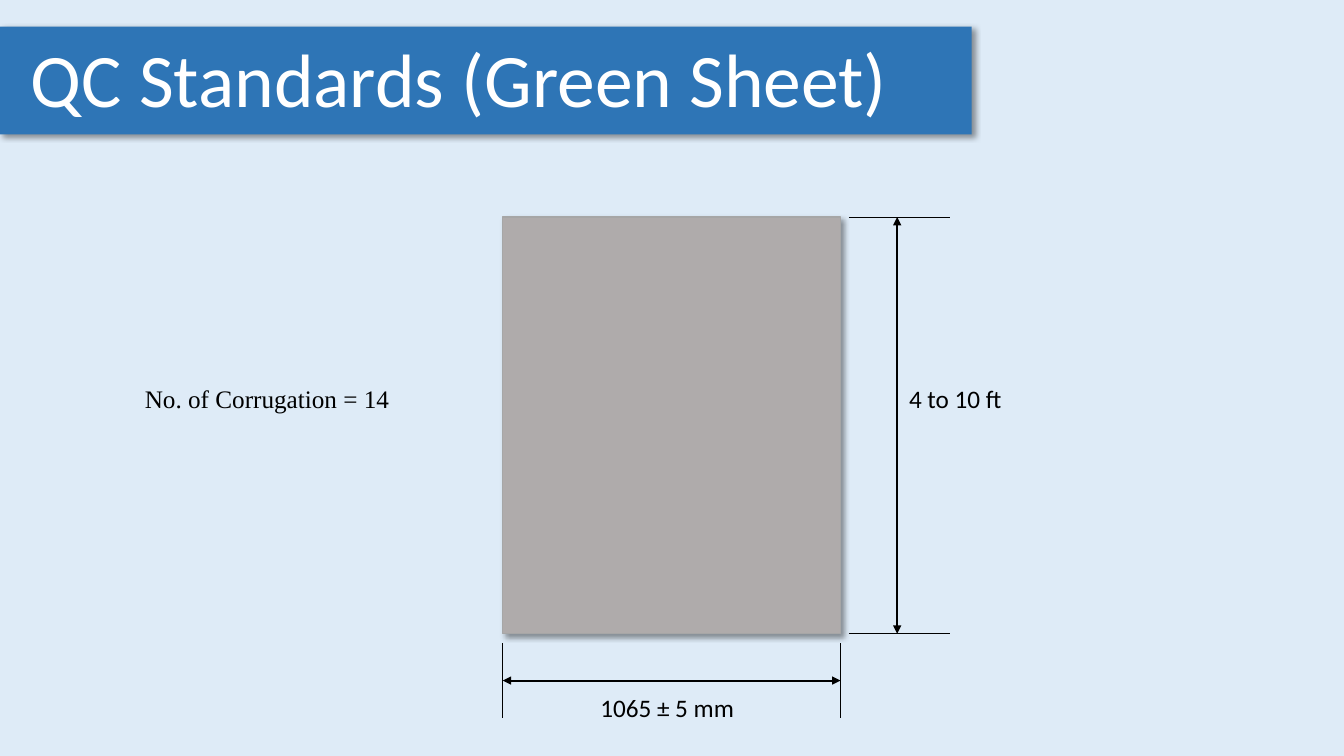
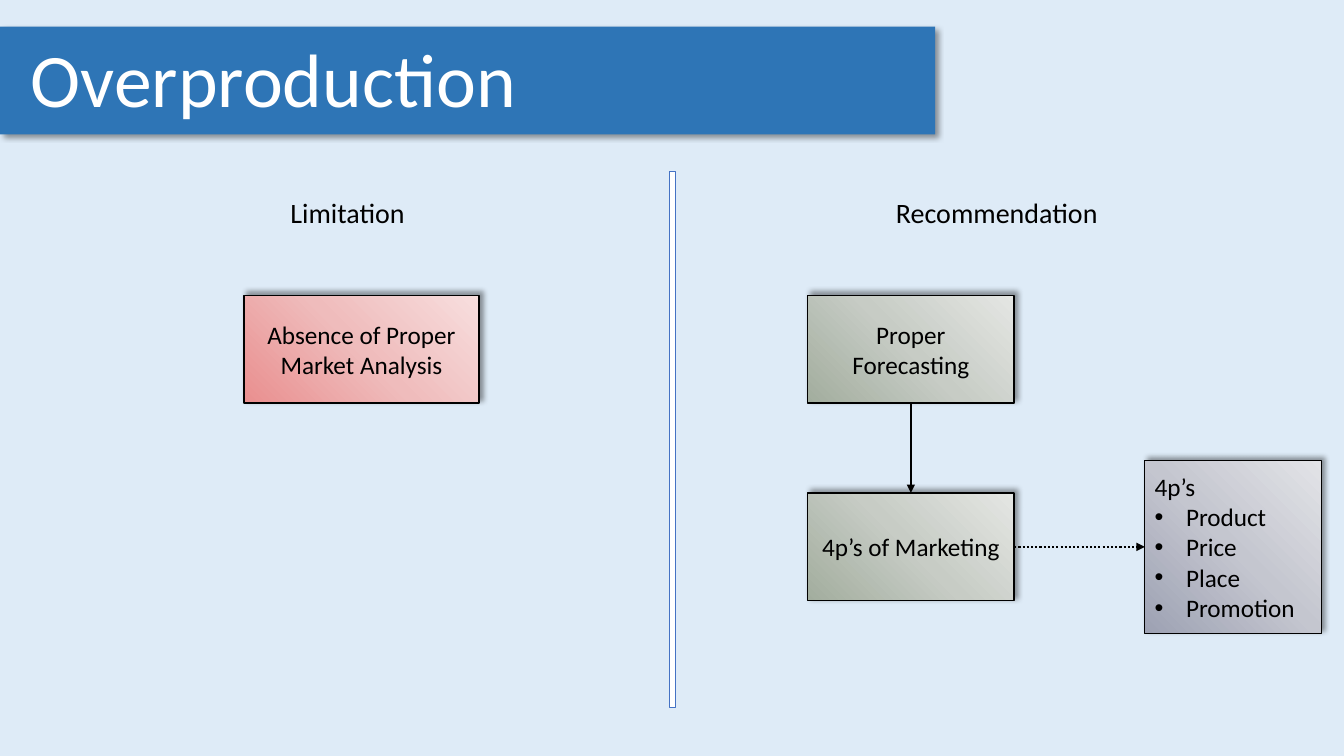
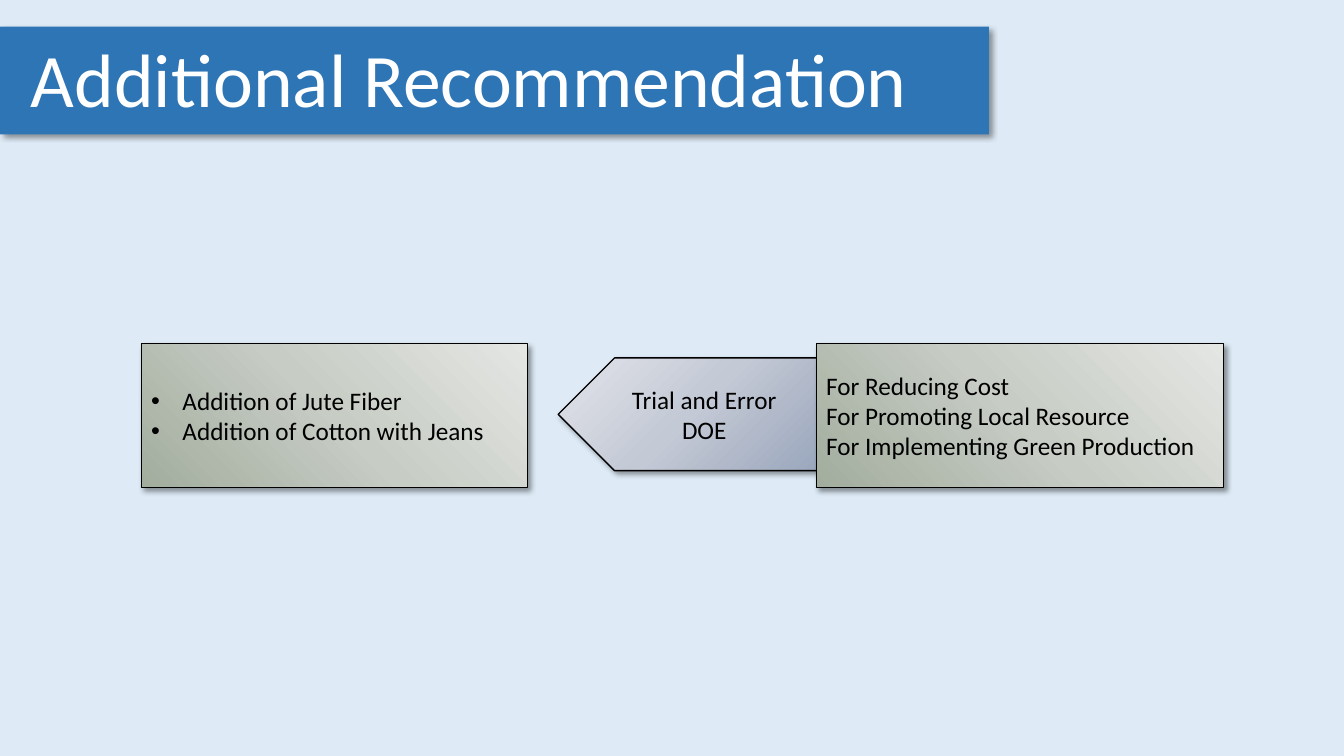
from copy import deepcopy
from dataclasses import dataclass

from lxml.etree import SubElement
from pptx import Presentation
from pptx.dml.color import RGBColor
from pptx.enum.dml import MSO_LINE
from pptx.enum.shapes import MSO_CONNECTOR, MSO_SHAPE
from pptx.enum.text import MSO_ANCHOR, PP_ALIGN
from pptx.oxml.ns import qn
from pptx.util import Cm, Pt

LEFT, CENTER = PP_ALIGN.LEFT, PP_ALIGN.CENTER
TOP, MIDDLE = MSO_ANCHOR.TOP, MSO_ANCHOR.MIDDLE
SITE_TOP, SITE_LEFT, SITE_BOTTOM, SITE_RIGHT = range(4)


@dataclass(frozen=True)
class Theme:
    background: str = "DEEBF7"
    band: str = "2E75B6"
    white: str = "FFFFFF"
    ink: str = "000000"
    sheet: str = "AFABAB"
    sheet_edge: str = "A6A6A6"
    divider: str = "4472C4"
    red: tuple = ("E98F8F", "EFBCBC", "F7DEDE")
    green: tuple = ("A2AD9E", "C7CCC5", "E4E6E3")
    violet: tuple = ("9DA1B3", "C4C6CF", "E2E3E7")
    blue: tuple = ("9AA6BC", "C3C9D5", "E2E4EA")
    font: str = "Calibri"
    serif: str = "Times New Roman"
    title_size: int = 54
    heading_size: int = 20
    body_size: int = 18


def rgb(code):
    return RGBColor.from_string(code)


class Deck:
    def __init__(self, theme):
        self.theme = theme
        self.prs = Presentation()
        self.prs.slide_width, self.prs.slide_height = Cm(33.87), Cm(19.05)
        self.s = None

    def new_slide(self, title, band_width):
        t = self.theme
        self.s = self.prs.slides.add_slide(self.prs.slide_layouts[6])
        fill = self.s.background.fill
        fill.solid()
        fill.fore_color.rgb = rgb(t.background)
        self.shape(0, 0.67, band_width, 2.72, t.band, shadow=45)
        self.label(title, 0.53, 0.67, 23.57, 2.57, size=t.title_size, color=t.white)

    def set_text(self, sp, text, size, color, align, anchor, font=None, bullets_from=None):
        """Fill a shape with lines; those from index bullets_from on get bullets."""
        tf = sp.text_frame
        tf.word_wrap = True
        tf.vertical_anchor = anchor
        tf.text = text
        for i, p in enumerate(tf.paragraphs):
            p.alignment = align
            if bullets_from is not None and i >= bullets_from:
                pPr = p._p.get_or_add_pPr()
                pPr.set("marL", str(Cm(0.79)))
                pPr.set("indent", str(-Cm(0.79)))
                SubElement(pPr, qn("a:buFont")).set("typeface", "Arial")
                SubElement(pPr, qn("a:buChar")).set("char", "•")
            for r in p.runs:
                r.font.name = font or self.theme.font
                r.font.size = Pt(size)
                r.font.color.rgb = rgb(color)

    def label(self, text, x, y, w, h, size=None, color=None, align=LEFT, anchor=TOP, font=None):
        sp = self.s.shapes.add_textbox(Cm(x), Cm(y), Cm(w), Cm(h))
        self.set_text(sp, text, size or self.theme.body_size, color or self.theme.ink,
                      align, anchor, font)

    def shape(self, x, y, w, h, fill, edge=None, shadow=None, kind=MSO_SHAPE.RECTANGLE):
        """Draw a preset shape; fill is one colour or three gradient stops,
        shadow is the direction in degrees."""
        sp = self.s.shapes.add_shape(kind, Cm(x), Cm(y), Cm(w), Cm(h))
        if isinstance(fill, tuple):
            self.gradient(sp, fill)
        else:
            sp.fill.solid()
            sp.fill.fore_color.rgb = rgb(fill)
        if edge:
            sp.line.color.rgb = rgb(edge)
            sp.line.width = Pt(1)
        else:
            sp.line.fill.background()
        sp.shadow.inherit = False
        if shadow is not None:
            self.cast_shadow(sp, shadow)
        return sp

    def gradient(self, sp, colors):
        sp.fill.gradient()
        sp.fill.gradient_angle = 45
        stops = sp.element.spPr.find(qn("a:gradFill")).find(qn("a:gsLst"))
        stops.insert(1, deepcopy(stops[0]))
        for stop, color, position in zip(sp.fill.gradient_stops, colors, (0, 0.5, 1)):
            stop.color.rgb = rgb(color)
            stop.position = position

    def cast_shadow(self, sp, direction):
        effects = sp.element.spPr.find(qn("a:effectLst"))
        outer = SubElement(effects, qn("a:outerShdw"), blurRad=str(Pt(4)), dist=str(Pt(3)),
                           dir=str(direction * 60000), algn="ctr", rotWithShape="0")
        color = SubElement(outer, qn("a:srgbClr"), val=self.theme.ink)
        SubElement(color, qn("a:alpha"), val="40000")

    def box(self, text, x, y, w, h, colors, align=CENTER, shadow=45, bullets_from=None,
            kind=MSO_SHAPE.RECTANGLE):
        t = self.theme
        sp = self.shape(x, y, w, h, colors, t.ink, shadow, kind)
        self.set_text(sp, text, t.body_size, t.ink, align, MIDDLE, bullets_from=bullets_from)
        return sp

    def line(self, x1, y1, x2, y2, width=0.5, ends=(), dash=None):
        """Draw a line; ends names the ends with an arrowhead, head before tail."""
        c = self.s.shapes.add_connector(MSO_CONNECTOR.STRAIGHT, Cm(x1), Cm(y1), Cm(x2), Cm(y2))
        c.line.color.rgb = rgb(self.theme.ink)
        c.line.width = Pt(width)
        if dash:
            c.line.dash_style = dash
        spPr = c.element.spPr
        for end in ends:
            SubElement(spPr.find(qn("a:ln")), qn(f"a:{end}End"), type="triangle")
        SubElement(spPr, qn("a:effectLst"))
        return c

    def dimension(self, x1, y1, x2, y2):
        self.line(x1, y1, x2, y2, 1.5, ("head", "tail"))

    def connect(self, source, source_site, target, target_site, dash=None):
        c = self.line(0, 0, 1, 1, 1.5, ("tail",), dash)
        c.begin_connect(source, source_site)
        c.end_connect(target, target_site)


def green_sheet(d):
    t = d.theme
    d.new_slide("QC Standards (Green Sheet)", 24.49)
    left, top, width, height = 12.67, 5.47, 8.51, 10.5
    right, bottom = left + width, top + height
    d.shape(left, top, width, height, t.sheet, t.sheet_edge, shadow=45)
    for y in (top, bottom):
        d.line(right + 0.21, y, right + 2.75, y)
    for x in (left, right):
        d.line(x, bottom + 0.24, x, bottom + 2.12)
    d.dimension(right + 1.43, top, right + 1.43, bottom)
    d.dimension(left, bottom + 1.18, right, bottom + 1.18)
    d.label("4 to 10 ft", 22.66, 9.53, 3.1, 1.02)
    d.label("1065 ± 5 mm", 14.88, 17.32, 4.09, 1.02)
    d.label("No. of Corrugation = 14", 3.4, 9.53, 7.04, 1.02, font=t.serif)


def overproduction(d):
    t = d.theme
    d.new_slide("Overproduction", 23.57)
    top, row, box_h = 4.32, 7.44, 2.72
    d.shape(16.87, top, 0.15, 13.51, t.white, t.divider)
    for heading, x, w in (("Limitation", 6.17, 5.18), ("Recommendation", 22.25, 5.74)):
        d.label(heading, x, top, w, 2.06, t.heading_size, align=CENTER, anchor=MIDDLE)
    d.box("Absence of Proper Market Analysis", 6.15, row, 5.92, box_h, t.red, shadow=315)
    forecasting, marketing = [
        d.box(text, 20.35, y, 5.21, box_h, t.green, shadow=315)
        for text, y in (("Proper Forecasting", row), ("4p’s of Marketing", 12.42))]
    four_ps = d.box("4p’s\nProduct\nPrice\nPlace\nPromotion", 28.85, 11.6, 4.45, 4.36,
                    t.violet, LEFT, shadow=315, bullets_from=1)
    d.connect(forecasting, SITE_BOTTOM, marketing, SITE_TOP)
    d.connect(marketing, SITE_RIGHT, four_ps, SITE_LEFT, MSO_LINE.ROUND_DOT)


def additional_recommendation(d):
    t = d.theme
    d.new_slide("Additional Recommendation", 24.92)
    top, box_h = 8.66, 3.63
    d.box("Addition of Jute Fiber\nAddition of Cotton with Jeans", 3.56, top, 9.73, box_h,
          t.green, LEFT, bullets_from=0)
    trial = d.box("Trial and Error\nDOE", 14.07, 9.02, 6.65, 2.84, t.blue,
                  kind=MSO_SHAPE.PENTAGON)
    trial.element.spPr.find(qn("a:xfrm")).set("flipH", "1")
    d.box("For Reducing Cost\nFor Promoting Local Resource\nFor Implementing Green Production",
          20.57, top, 10.26, box_h, t.green, LEFT)


def main():
    d = Deck(Theme())
    green_sheet(d)
    overproduction(d)
    additional_recommendation(d)
    d.prs.save("out.pptx")


if __name__ == "__main__":
    main()
